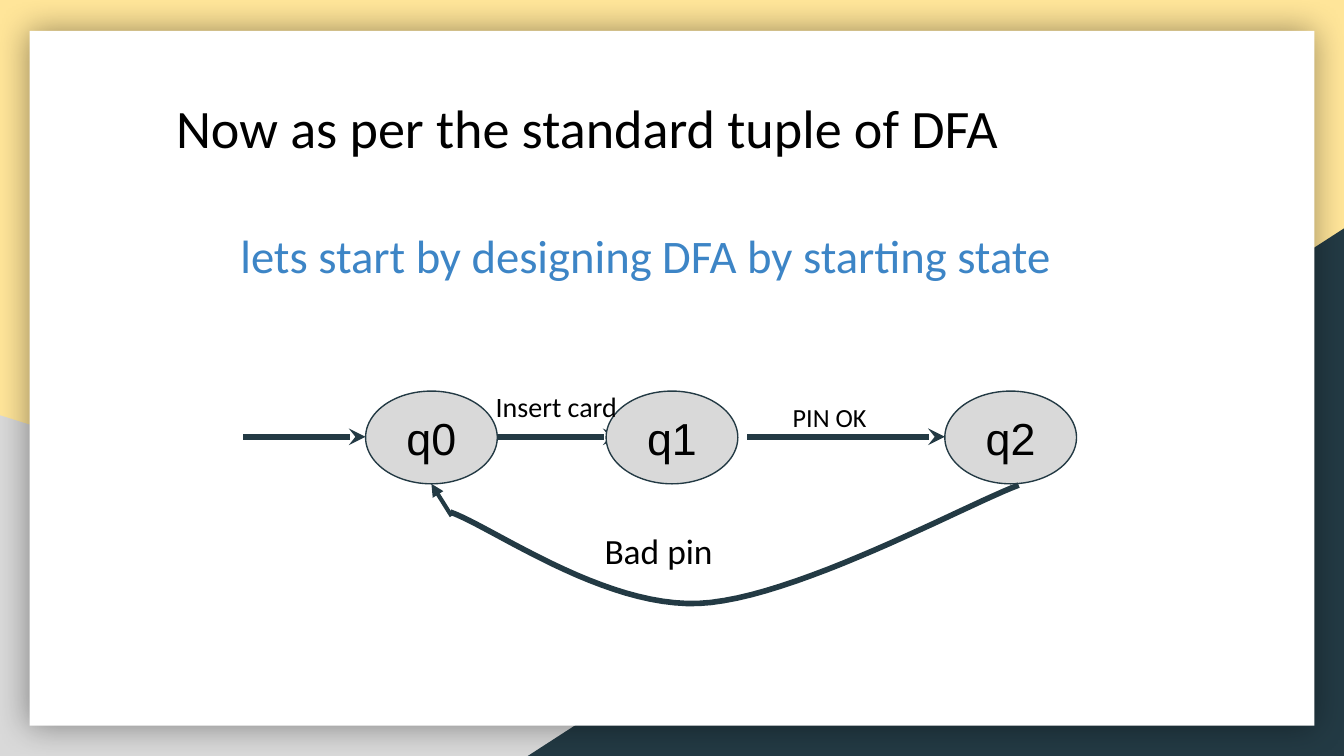
import pptx
import pptx.util
from pptx.dml.color import RGBColor
from pptx.enum.shapes import MSO_CONNECTOR, MSO_SHAPE
from pptx.enum.text import MSO_ANCHOR, MSO_AUTO_SIZE, PP_ALIGN
from pptx.oxml import parse_xml
from pptx.oxml.ns import nsdecls
from pptx.util import Inches

COLORS = {
    "sand": "FFE599",
    "gray": "D9D9D9",
    "navy": "233A44",
    "white": "FFFFFF",
    "black": "000000",
    "blue": "3D85C6",
}
ARROW_Y = 3.25
STATE_TOP = 2.91
STATE_SIZE = (0.98, 0.69)
CURVE_STEPS = 24


def color(name):
    return RGBColor.from_string(COLORS[name])


def apply(target, values):
    for name, value in values.items():
        setattr(target, name, value)


def place(shape, left, top, width, height):
    apply(shape, {
        "left": Inches(left),
        "top": Inches(top),
        "width": Inches(width),
        "height": Inches(height),
    })


def style_line(line, width):
    line.color.rgb = color("navy")
    line.width = pptx.util.Pt(width)


def write_text(shape, text, size, ink="black", font="Calibri",
               align=PP_ALIGN.LEFT, anchor=MSO_ANCHOR.TOP,
               fit=MSO_AUTO_SIZE.SHAPE_TO_FIT_TEXT):
    frame = shape.text_frame
    apply(frame, {
        "word_wrap": True,
        "auto_size": fit,
        "vertical_anchor": anchor,
        "margin_left": Inches(0.1),
        "margin_right": Inches(0.1),
        "margin_top": Inches(0.1),
        "margin_bottom": Inches(0.1),
    })
    para = frame.paragraphs[0]
    para.alignment = align
    span = para.add_run()
    span.text = text
    apply(span.font, {"name": font, "size": pptx.util.Pt(size)})
    span.font.color.rgb = color(ink)


def add_filled(page, kind, bounds, fill):
    shape = page.shapes.add_shape(kind, *map(Inches, bounds))
    shape.shadow.inherit = False
    shape.fill.solid()
    shape.fill.fore_color.rgb = color(fill)
    shape.line.fill.background()
    return shape


def add_backdrop(page):
    page.background.fill.solid()
    page.background.fill.fore_color.rgb = color("sand")
    triangle = MSO_SHAPE.RIGHT_TRIANGLE
    add_filled(page, triangle, (0, 3.09, 8.06, 2.54), "gray")
    corner = add_filled(page, triangle, (3.92, 1.7, 6.08, 3.93), "navy")
    corner.element.spPr.xfrm.set("flipH", "1")
    card = add_filled(page, MSO_SHAPE.RECTANGLE, (0.22, 0.23, 9.56, 5.17), "white")
    effects = card.element.spPr.find(pptx.oxml.ns.qn("a:effectLst"))
    effects.append(parse_xml(
        f'<a:outerShdw {nsdecls("a")} blurRad="{pptx.util.Pt(18)}" dist="0" '
        f'dir="0" algn="ctr" rotWithShape="0"><a:srgbClr val="{COLORS["black"]}">'
        '<a:alpha val="40000"/></a:srgbClr></a:outerShdw>'
    ))


def add_title(page, text):
    title = page.shapes.title
    page.shapes.element.append(title.element)
    place(title, 1.21, 0.6, 6.46, 0.69)
    write_text(title, text, 29)


def add_label(page, text, bounds, size, ink="black"):
    box = page.shapes.add_textbox(*map(Inches, bounds))
    write_text(box, text, size, ink)


def add_state(page, name, left):
    state = add_filled(page, MSO_SHAPE.FLOWCHART_CONNECTOR,
                       (left, STATE_TOP, *STATE_SIZE), "gray")
    style_line(state.line, 0.75)
    write_text(state, name, 24, font="Arial", align=PP_ALIGN.CENTER,
               anchor=MSO_ANCHOR.MIDDLE, fit=MSO_AUTO_SIZE.NONE)


def add_arrow(page, start, end, width=3, head="stealth"):
    arrow = page.shapes.add_connector(MSO_CONNECTOR.STRAIGHT,
                                      *map(Inches, (*start, *end)))
    style_line(arrow.line, width)
    arrow.line._get_or_add_ln().append(
        parse_xml(f'<a:tailEnd {nsdecls("a")} type="{head}"/>'))
    arrow.element.spPr.append(parse_xml(f'<a:effectLst {nsdecls("a")}/>'))


def bezier_points(corners):
    for step in range(1, CURVE_STEPS + 1):
        t = step / CURVE_STEPS
        weights = ((1 - t) ** 3, 3 * t * (1 - t) ** 2, 3 * t ** 2 * (1 - t), t ** 3)
        yield tuple(
            Inches(sum(weight * corner[axis] for weight, corner in zip(weights, corners)))
            for axis in (0, 1)
        )


def add_curve(page, start, *segments):
    builder = page.shapes.build_freeform(*map(Inches, start))
    for segment in segments:
        builder.add_line_segments(list(bezier_points((start, *segment))), close=False)
        start = segment[-1]
    curve = builder.convert_to_shape()
    curve.shadow.inherit = False
    curve.fill.background()
    style_line(curve.line, 3)


def main():
    deck = pptx.Presentation()
    apply(deck, {"slide_width": Inches(10), "slide_height": Inches(10 * 9 / 16)})
    page = deck.slides.add_slide(deck.slide_layouts[5])

    add_backdrop(page)
    add_title(page, "Now as per the standard tuple of DFA")
    add_label(page, "lets start by designing DFA by starting state",
              (1.69, 1.59, 6.91, 0.62), 25, "blue")

    for name, left, arrow_start, arrow_end in (
        ("q0", 2.72, 1.81, 2.72),
        ("q1", 4.51, 3.7, 4.61),
        ("q2", 7.03, 5.56, 7.03),
    ):
        add_arrow(page, (arrow_start, ARROW_Y), (arrow_end, ARROW_Y))
        add_state(page, name, left)

    add_curve(page, (7.58, 3.61),
              ((7.18, 3.76), (5.9, 4.46), (5.2, 4.49)),
              ((4.49, 4.52), (3.66, 3.92), (3.35, 3.81)))
    add_arrow(page, (3.36, 3.84), (3.21, 3.6), 2.25, "triangle")

    add_label(page, "Insert card", (3.59, 2.8, 1.26, 0.45), 15)
    add_label(page, "PIN OK", (5.8, 2.89, 1.17, 0.44), 14)
    add_label(page, "Bad pin", (4.4, 3.84, 1.5, 0.52), 19)

    deck.save("out.pptx")


if __name__ == "__main__":
    main()
